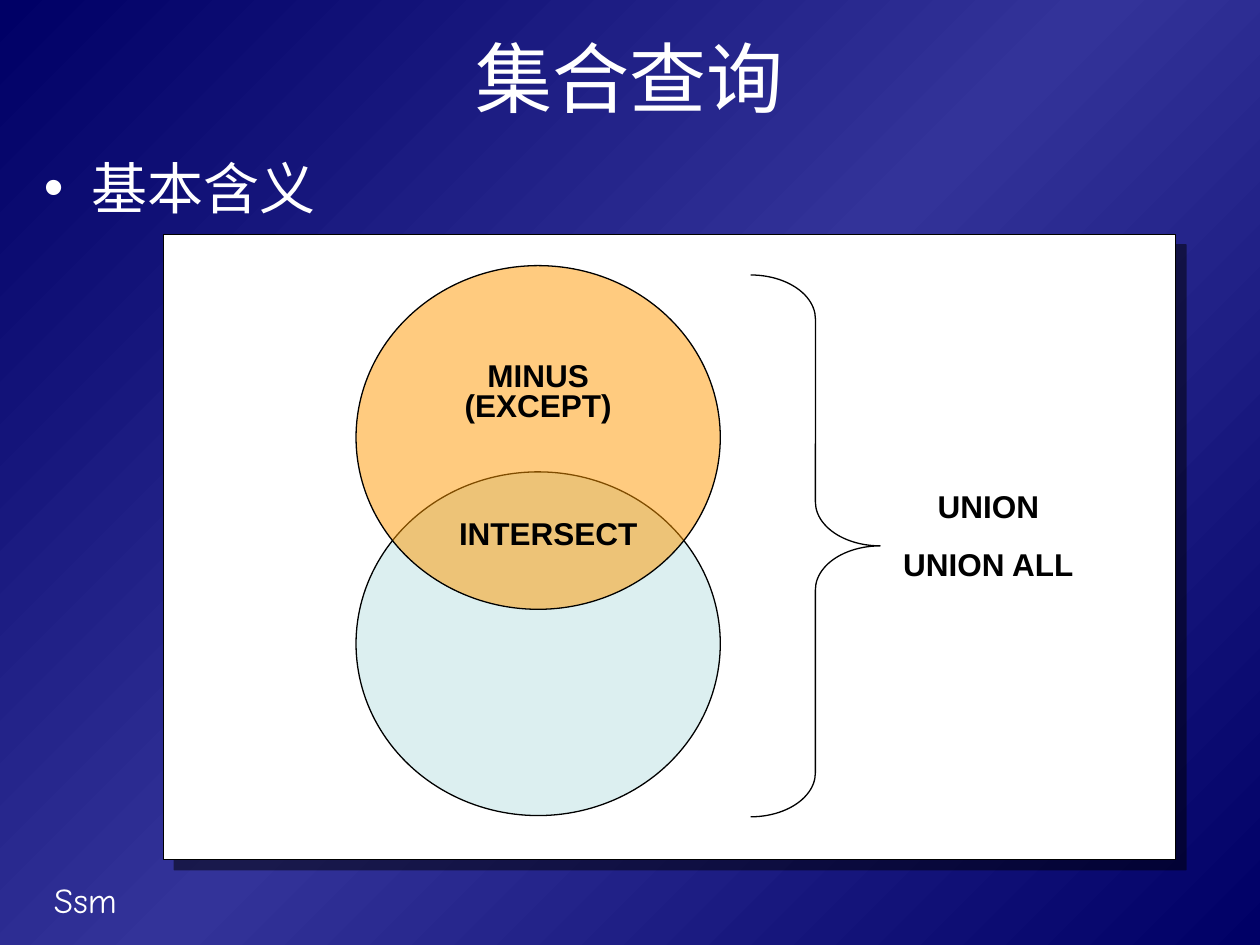
from lxml.etree import SubElement
from copy import deepcopy
from pptx import Presentation
from pptx.dml.color import RGBColor
from pptx.enum.shapes import MSO_SHAPE as Shape
from pptx.enum.text import MSO_ANCHOR as Anchor, PP_ALIGN as Align
from pptx.oxml import parse_xml
from pptx.oxml.ns import nsdecls, qn
from pptx.util import Inches, Pt

COLORS = {"navy": "000066", "indigo": "333399", "white": "FFFFFF",
          "black": "000000", "orange": "FF9900", "aqua": "BBE0E3"}
CJK, LATIN, FOOTER = "Noto Sans CJK SC", "Arial", "Comic Neue"


def color(name):
    return RGBColor.from_string(COLORS[name])


def inches(box):
    return [Inches(length) for length in box]


def inside(box, left, top, width, height):
    """Turn shares of a box into a box on the slide."""
    x, y, w, h = box
    return x + left * w, y + top * h, width * w, height * h


def style(para, font, size, ink, bold=False, align=Align.LEFT):
    para.alignment = align
    para.font.name, para.font.size, para.font.bold = font, Pt(size), bold
    para.font.color.rgb = color(ink)
    if font == CJK:
        for span in para.runs:
            SubElement(span.font._element, qn("a:ea"), typeface=font)


def add_text(page, box, lines, font, size, ink, bold=False,
             align=Align.LEFT, gap=0, bullet=False):
    frame = page.shapes.add_textbox(*inches(box)).text_frame
    frame.word_wrap = True
    frame.text = "\n".join(lines)
    for index, para in enumerate(frame.paragraphs):
        if bullet:
            props = para._p.get_or_add_pPr()
            props.set("marL", str(Inches(0.38)))
            props.set("indent", str(-Inches(0.38)))
            SubElement(props, qn("a:buFont"), typeface=LATIN)
            SubElement(props, qn("a:buChar"), char="•")
        if index:
            para.space_before = Pt(gap)
        style(para, font, size, ink, bold, align)


def add_outline(page, kind, box, fill=None, alpha=None):
    shape = page.shapes.add_shape(kind, *inches(box))
    shape.shadow.inherit = False
    shape.line.color.rgb = color("black")
    shape.line.width = Pt(0.75)
    if fill is None:
        shape.fill.background()
        return shape
    shape.fill.solid()
    shape.fill.fore_color.rgb = color(fill)
    if alpha:
        tint = shape._element.spPr.find(qn("a:solidFill"))[0]
        SubElement(tint, qn("a:alpha"), val=str(alpha * 1000))
    return shape


def paint_background(page):
    fill = page.background.fill
    fill.gradient()
    fill.gradient_angle = 315
    first = page.element.xpath(".//p:bg//a:gs")[0]
    first.addnext(deepcopy(first))
    for stop, place, name in zip(fill.gradient_stops, (0, 0.5, 1),
                                 ("navy", "indigo", "navy")):
        stop.position = place
        stop.color.rgb = color(name)


def place_title(page, box, words):
    title = page.shapes.title
    title.left, title.top, title.width, title.height = inches(box)
    frame = title.text_frame
    frame.text = words
    frame.vertical_anchor = Anchor.MIDDLE
    style(frame.paragraphs[0], CJK, 44, "white", align=Align.CENTER)


def draw_panel(page, box):
    panel = add_outline(page, Shape.RECTANGLE, box, "white")
    effects = panel._element.spPr.find(qn("a:effectLst"))
    effects.append(parse_xml(
        f'<a:outerShdw {nsdecls("a")} blurRad="0" dist="{Pt(8.5)}" '
        f'dir="2700000" algn="tl" rotWithShape="0">'
        f'<a:srgbClr val="{COLORS["black"]}"><a:alpha val="50000"/></a:srgbClr>'
        f'</a:outerShdw>'))


def draw_venn(page, box):
    """Two overlapping sets, one above the other, with a brace at the right."""
    # Lower set first, so that the upper one covers it
    for top, fill in ((0.38, "aqua"), (0.05, "orange")):
        add_outline(page, Shape.OVAL, inside(box, 0.19, top, 0.36, 0.55),
                    fill, alpha=50)
    brace = add_outline(page, Shape.RIGHT_BRACE,
                        inside(box, 0.58, 0.065, 0.128, 0.867))
    brace.adjustments[0] = 0.34

    # Names of the set operators
    labels = (((0.70, 0.395, 0.23, 0.17), ["UNION", "UNION ALL"]),
              ((0.255, 0.185, 0.23, 0.08), ["MINUS"]),
              ((0.265, 0.438, 0.23, 0.08), ["INTERSECT"]),
              ((0.255, 0.233, 0.23, 0.08), ["(EXCEPT)"]))
    for shares, lines in labels:
        add_text(page, inside(box, *shares), lines, LATIN, 18, "black",
                 bold=True, align=Align.CENTER, gap=11.2)


def main():
    deck = Presentation()
    deck.slide_width, deck.slide_height = Inches(10), Inches(7.5)
    page = deck.slides.add_slide(deck.slide_layouts[5])
    paint_background(page)

    # Heading, bullet and footer
    place_title(page, (0.5, 0.17, 9, 0.87), "集合查询")
    add_text(page, (0.25, 1.17, 9.58, 0.7), ["基本含义"], CJK, 32, "white",
             bullet=True)
    add_text(page, (0.33, 6.92, 2.08, 0.44), ["Ssm"], FOOTER, 20, "white")

    # Diagram of the set operators
    panel = (1.3, 1.86, 8.03, 4.96)
    draw_panel(page, panel)
    draw_venn(page, panel)
    deck.save("out.pptx")


if __name__ == "__main__":
    main()
